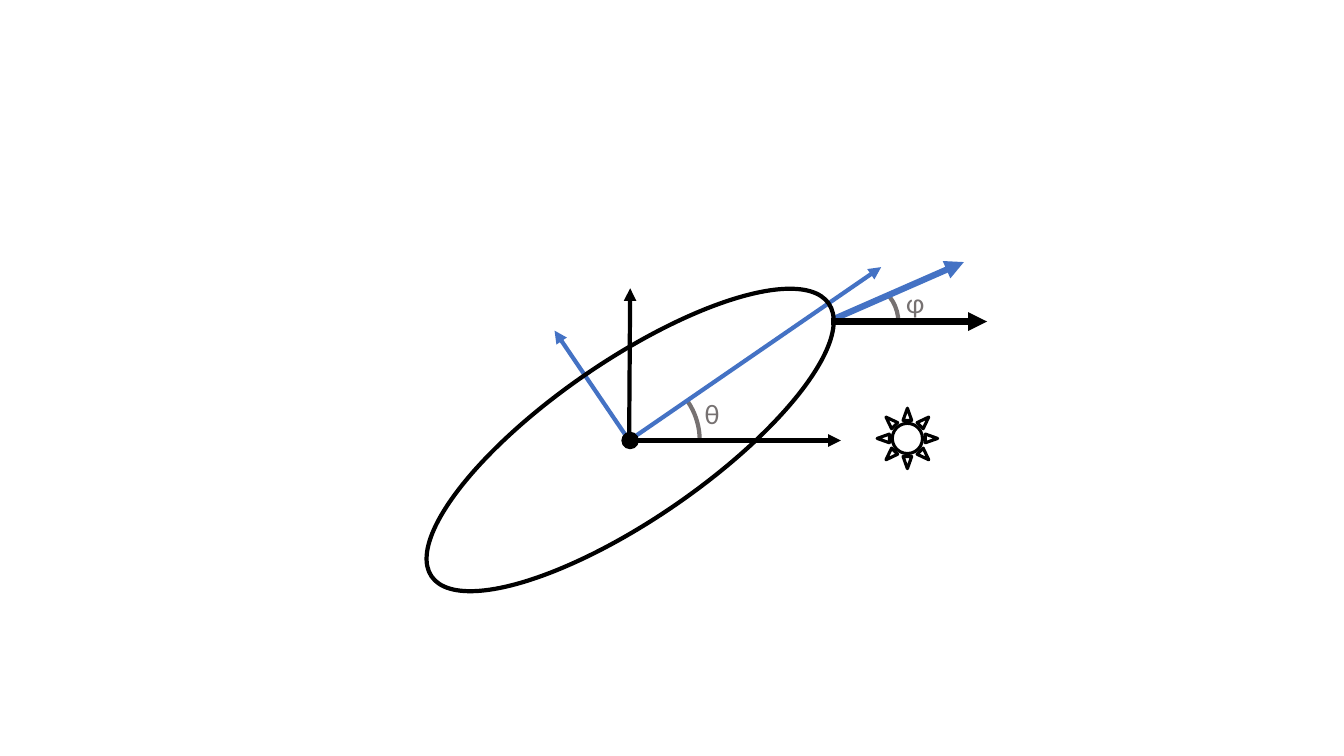
import lxml.etree
import pptx
import pptx.dml.color
import pptx.enum.shapes
import pptx.enum.text
import pptx.oxml.ns
import pptx.util

BLACK = pptx.dml.color.RGBColor(0x00, 0x00, 0x00)
BLUE = pptx.dml.color.RGBColor(0x44, 0x72, 0xC4)
GRAY = pptx.dml.color.RGBColor(0x76, 0x71, 0x71)
KIND = pptx.enum.shapes.MSO_SHAPE
CELLS_PER_INCH = 10


def apply(target, values):
    for name, value in values.items():
        setattr(target, name, value)


class Canvas:
    font = {"name": "Calibri", "size": pptx.util.Pt(20)}
    frame = {
        "word_wrap": False,
        "auto_size": pptx.enum.text.MSO_AUTO_SIZE.SHAPE_TO_FIT_TEXT,
    }

    def __init__(self, deck):
        slide = deck.slides.add_slide(deck.slide_layouts[6])
        self.shapes = slide.shapes.add_group_shape().shapes

    def cells(self, *counts):
        return [pptx.util.Inches(count / CELLS_PER_INCH) for count in counts]

    def stroke(self, line, color, weight):
        line.color.rgb = color
        line.width = pptx.util.Pt(weight)

    def shape(self, kind, box, color, weight, solid=False, turn=0):
        shape = self.shapes.add_shape(kind, *self.cells(*box))
        shape.shadow.inherit = False
        shape.rotation = turn
        if solid:
            shape.fill.solid()
            shape.fill.fore_color.rgb = color
        else:
            shape.fill.background()
        self.stroke(shape.line, color, weight)
        return shape

    def arc(self, box, start):
        arc = self.shape(KIND.ARC, box, GRAY, 3)
        arc.adjustments[0] = start * 0.6
        arc.adjustments[1] = 0

    def arrow(self, start, end, color, weight):
        kind = pptx.enum.shapes.MSO_CONNECTOR.STRAIGHT
        arrow = self.shapes.add_connector(kind, *self.cells(*start, *end))
        self.stroke(arrow.line, color, weight)
        qn = pptx.oxml.ns.qn
        props = arrow.element.spPr
        lxml.etree.SubElement(props.find(qn("a:ln")), qn("a:tailEnd"), type="triangle")
        lxml.etree.SubElement(props, qn("a:effectLst"))

    def label(self, text, left, top):
        box = self.shapes.add_textbox(*self.cells(left, top, 3, 4.4))
        apply(box.text_frame, self.frame)
        run = box.text_frame.paragraphs[0].add_run()
        run.text = text
        apply(run.font, self.font)
        run.font.color.rgb = GRAY


def main():
    deck = pptx.Presentation()
    apply(deck, {"slide_width": pptx.util.Inches(13.33),
                 "slide_height": pptx.util.Inches(7.5)})
    canvas = Canvas(deck)
    center = (62.4, 43.7)

    canvas.arc((81, 27.9, 8.1, 8.1), 322.32)
    canvas.arrow((82.6, 31.7), (95.6, 26), BLUE, 4.5)
    canvas.arc((55.6, 36.8, 13.8, 13.8), 324.38)
    for tip in ((87.4, 26.5), (55, 32.8)):
        canvas.arrow(center, tip, BLUE, 3)
    canvas.shape(KIND.OVAL, (38.6, 35.8, 47.8, 15.7), BLACK, 3, turn=325.5)
    for tip in ((83.4, 43.7), (62.5, 28.6)):
        canvas.arrow(center, tip, BLACK, 3)
    canvas.shape(KIND.OVAL, (61.7, 42.9, 1.6, 1.6), BLACK, 1, solid=True)
    canvas.label("θ", 68.9, 38.8)
    canvas.shape(KIND.SUN, (87, 40.5, 6, 6), BLACK, 2.25)
    canvas.arrow((82.4, 31.9), (97.9, 31.9), BLACK, 4.5)
    canvas.label("φ", 88.9, 27.8)

    deck.save("out.pptx")


if __name__ == "__main__":
    main()
